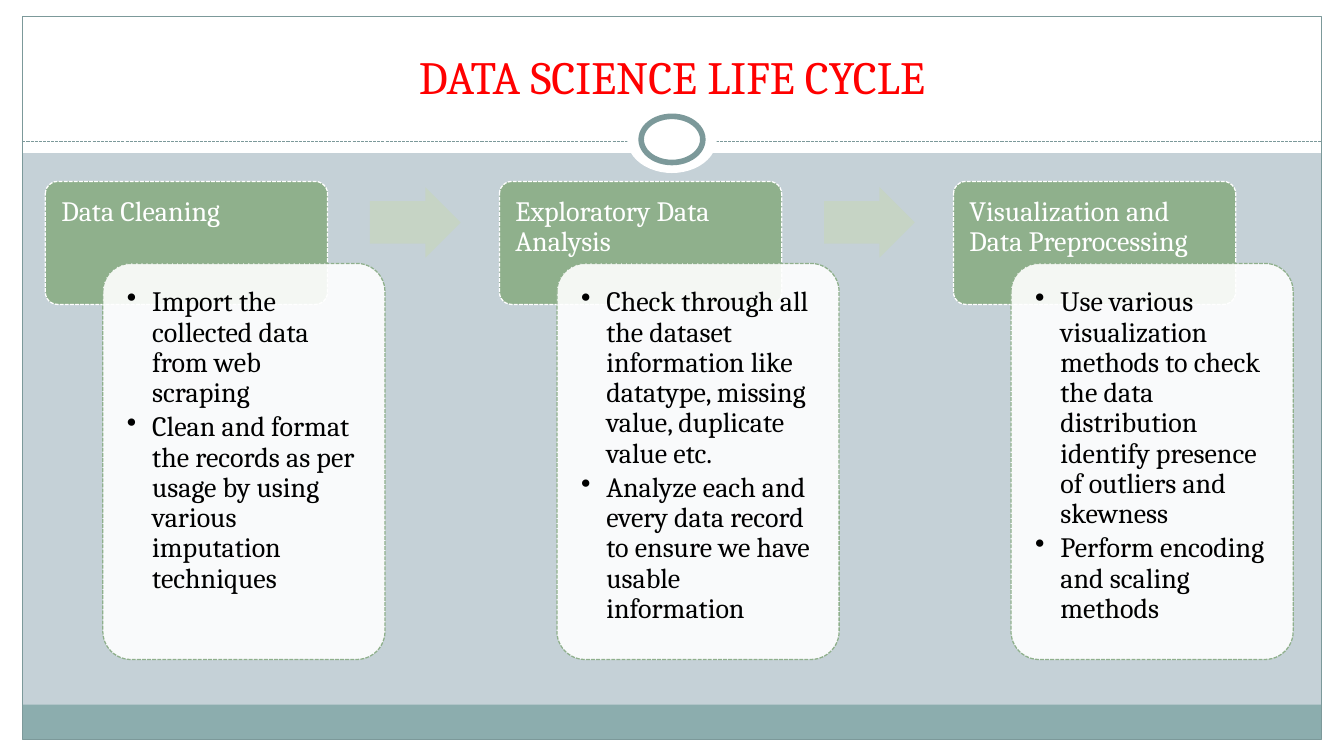
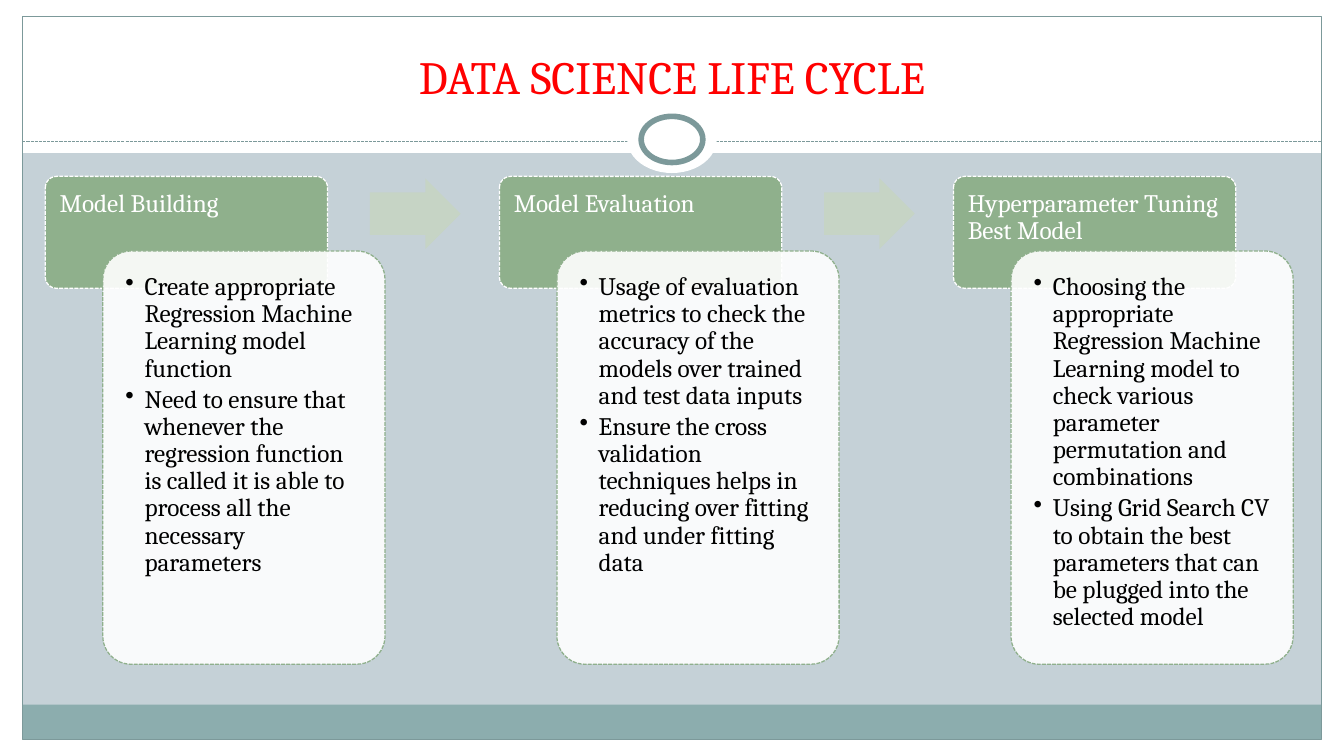
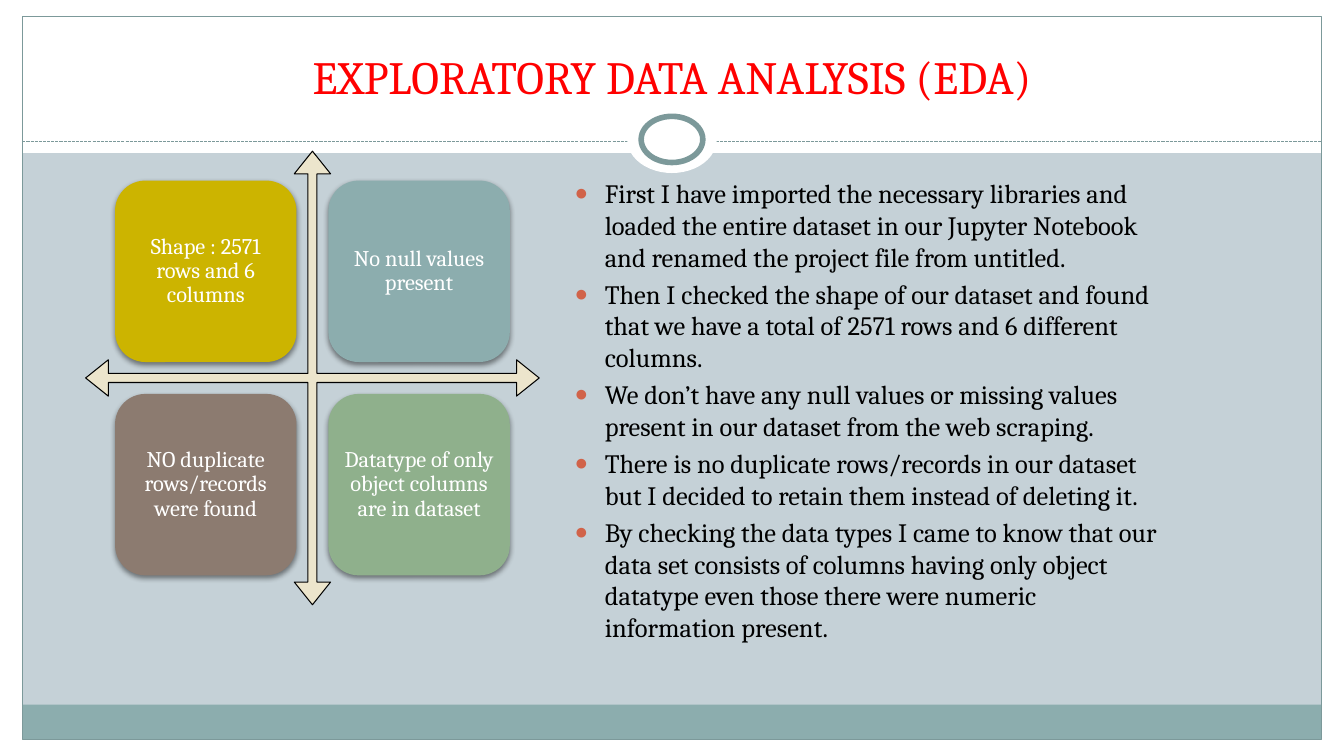
import dataclasses

import lxml.etree
import pptx
import pptx.dml.color
import pptx.enum.dml
import pptx.enum.shapes
import pptx.enum.text
import pptx.oxml.ns
import pptx.util

SHAPE = pptx.enum.shapes.MSO_SHAPE
ALIGN = pptx.enum.text.PP_ALIGN
ANCHOR = pptx.enum.text.MSO_ANCHOR
COLUMNS, ROWS = 80, 45
CELL = pptx.util.Inches(1) / 6
CORNER_INSET = 0.29  # share of a corner radius that a rounded box takes from its text area


@dataclasses.dataclass(frozen=True)
class Theme:
    font: str = "Cambria"
    background: str = "C5D1D7"
    white: str = "FFFFFF"
    black: str = "000000"
    title: str = "FF0000"
    frame: str = "7C999A"
    teal: str = "8CADAE"
    green: str = "8FB08C"
    pale_green: str = "C6D4C5"
    mustard: str = "CCB400"
    brown: str = "8C7B70"
    cream: str = "ECE5CC"
    bullet: str = "D16349"
    title_size: float = 33
    body_size: float = 18.9
    tile_size: float = 16


THEME = Theme()


def rgb(colour):
    return pptx.dml.color.RGBColor.from_string(colour)


def add_xml(parent, tag, **attributes):
    child = lxml.etree.SubElement(parent, pptx.oxml.ns.qn(tag))
    for name, value in attributes.items():
        child.set(name, str(value))
    return child


class Deck:
    """Holds the theme and the current slide; lengths are in grid cells."""

    def __init__(self, theme):
        self.theme = theme
        self.file = pptx.Presentation()
        self.file.slide_width = round(COLUMNS * CELL)
        self.file.slide_height = round(ROWS * CELL)
        self.slide = None

    def grid(self, *cells):
        return [pptx.util.Emu(round(cell * CELL)) for cell in cells]

    def new_slide(self, title, layout="Title Only"):
        self.slide = self.file.slides.add_slide(self.file.slide_layouts.get_by_name(layout))
        if len(self.file.slides) == 1:
            self.frame_master()
        heading = self.slide.shapes.title
        self.place(heading, 2.67, 1.5, 74.67, 5)
        self.set_text(heading, [title], self.theme.title_size, self.theme.title,
                      align=ALIGN.CENTER, anchor=ANCHOR.BOTTOM)

    def place(self, placeholder, *cells):
        placeholder.left, placeholder.top, placeholder.width, placeholder.height = self.grid(*cells)

    def frame_master(self):
        """Draws the shared frame on the first slide and moves it to the master."""
        theme, master = self.theme, self.file.slide_master
        master.background.fill.solid()
        master.background.fill.fore_color.rgb = rgb(theme.background)
        side, bottom = 1.33, 44
        inner = COLUMNS - 2 * side
        parts = [self.shape(SHAPE.RECTANGLE, *margin, fill=theme.white) for margin in (
            (0, bottom, COLUMNS, 1), (0, 0, COLUMNS, 9.1),
            (0, 0, side, ROWS), (COLUMNS - side, 0, side, ROWS))]
        parts.append(self.shape(SHAPE.RECTANGLE, side, 41.95, inner, 2.05, fill=theme.teal))
        parts.append(self.shape(SHAPE.RECTANGLE, side, 1, inner, 43, line=theme.frame))
        parts.append(self.dashed_rule(side, COLUMNS - side, 8.4))
        for width, height, ring in ((5.33, 4, None), (3.67, 2.75, theme.frame)):
            parts.append(self.shape(SHAPE.OVAL, (COLUMNS - width) / 2, 8.3 - height / 2,
                                    width, height, fill=theme.white, line=ring, weight=4))
        for number, part in enumerate(parts, start=100):
            part.element.xpath(".//p:cNvPr")[0].set("id", str(number))
            master.shapes.element.insert_element_before(part.element, "p:extLst")

    def dashed_rule(self, start, end, row):
        rule = self.slide.shapes.add_connector(
            pptx.enum.shapes.MSO_CONNECTOR.STRAIGHT, *self.grid(start, row, end, row))
        self.outline(rule.line, self.theme.frame, 0.75, dashed=True)
        add_xml(rule.element.spPr, "a:effectLst")
        return rule

    def outline(self, line, colour, weight, dashed=False):
        line.color.rgb = rgb(colour)
        line.width = pptx.util.Pt(weight)
        if dashed:
            line.dash_style = pptx.enum.dml.MSO_LINE.SQUARE_DOT

    def shape(self, kind, *cells, fill=None, line=None, weight=0.75, dashed=False, adjust=()):
        drawn = self.slide.shapes.add_shape(kind, *self.grid(*cells))
        drawn.shadow.inherit = False
        for index, value in enumerate(adjust):
            drawn.adjustments[index] = value
        if fill:
            drawn.fill.solid()
            drawn.fill.fore_color.rgb = rgb(fill)
        else:
            drawn.fill.background()
        if line:
            self.outline(drawn.line, line, weight, dashed)
        else:
            drawn.line.fill.background()
        return drawn

    def set_text(self, holder, texts, size, colour, align=ALIGN.LEFT, anchor=ANCHOR.TOP,
                 insets=None, line_spacing=None, before=0, after=0, bullet=None):
        """Fills a holder; insets are points (left, top, right, bottom), before and after shares of size."""
        frame = holder.text_frame
        frame.word_wrap = True
        frame.auto_size = pptx.enum.text.MSO_AUTO_SIZE.NONE
        frame.vertical_anchor = anchor
        if insets:
            (frame.margin_left, frame.margin_top,
             frame.margin_right, frame.margin_bottom) = map(pptx.util.Pt, insets)
        for index, text in enumerate(texts):
            paragraph = frame.add_paragraph() if index else frame.paragraphs[0]
            paragraph.alignment = align
            paragraph.line_spacing = line_spacing
            paragraph.space_before = pptx.util.Pt(size * before)
            paragraph.space_after = pptx.util.Pt(size * after)
            if bullet:
                self.bullet(paragraph, **bullet)
            run = paragraph.add_run()
            run.text = text
            run.font.name = self.theme.font
            run.font.size = pptx.util.Pt(size)
            run.font.color.rgb = rgb(colour)

    def bullet(self, paragraph, indent, mark="•", colour=None, percent=100):
        properties = paragraph._p.get_or_add_pPr()
        hang = pptx.util.Inches(indent)
        properties.set("marL", str(hang))
        properties.set("indent", str(-hang))
        if colour:
            add_xml(add_xml(properties, "a:buClr"), "a:srgbClr", val=colour)
        add_xml(properties, "a:buSzPct", val=percent * 1000)
        add_xml(properties, "a:buChar", char=mark)

    def stage(self, left, top, name, details, size, header_height, detail_height, indent):
        """A green header with a translucent detail card overlapping its last third."""
        theme, width, rounding = self.theme, 16.8, 0.1
        inset = 0.57 * size
        corner = CORNER_INSET * rounding * header_height * CELL / pptx.util.Pt(1)
        header = self.shape(SHAPE.ROUNDED_RECTANGLE, left, top, width, header_height,
                            fill=theme.green, line=theme.white, weight=0.9, dashed=True,
                            adjust=[rounding])
        self.set_text(header, [name], size, theme.white, line_spacing=0.9,
                      insets=(inset - corner, inset - corner, inset - corner, inset / 2))
        card = self.shape(SHAPE.ROUNDED_RECTANGLE, left + 3.42, top + header_height * 2 / 3,
                          width, detail_height, fill=theme.white, line=theme.green,
                          weight=0.9, dashed=True, adjust=[rounding])
        add_xml(card.element.spPr.xpath("a:solidFill/a:srgbClr")[0], "a:alpha", val=90000)
        self.set_text(card, details, size, theme.black, insets=[inset] * 4,
                      line_spacing=0.9, after=0.15, bullet={"indent": indent})

    def life_cycle(self, stages, top, size, header_height, detail_height, indent):
        pitch, arrow_height = 27.03, 4.2
        for index, (name, details) in enumerate(stages):
            left = 2.7 + index * pitch
            if index:
                self.shape(SHAPE.RIGHT_ARROW, left - pitch + 19.32,
                           top + header_height / 3 - arrow_height / 2, 5.4, arrow_height,
                           fill=self.theme.pale_green, adjust=[0.6, 0.5])
            self.stage(left, top, name, details, size, header_height, detail_height, indent)

    def findings_matrix(self, left, top, findings):
        """Four tiles around a four-way arrow."""
        theme, span, margin, side = self.theme, 27, 1.75, 10.8
        pitch = span - 2 * margin - side
        self.shape(SHAPE.QUAD_ARROW, left, top, span, span, fill=theme.cream,
                   line=theme.black, adjust=[0.02, 0.04, 0.05])
        for index, (finding, colour) in enumerate(findings):
            row, column = divmod(index, 2)
            tile = self.shape(SHAPE.ROUNDED_RECTANGLE, left + margin + column * pitch,
                              top + margin + row * pitch, side, side, fill=colour)
            self.soft_shadow(tile)
            self.set_text(tile, [finding], theme.tile_size, theme.white, align=ALIGN.CENTER,
                          anchor=ANCHOR.MIDDLE, insets=[5] * 4, line_spacing=0.9)

    def soft_shadow(self, tile):
        effects = tile.element.spPr.xpath("a:effectLst")[0]
        shadow = add_xml(effects, "a:outerShdw", blurRad=pptx.util.Pt(4),
                         dist=pptx.util.Pt(2), dir=90 * 60000, rotWithShape=0)
        add_xml(add_xml(shadow, "a:srgbClr", val=self.theme.black), "a:alpha", val=45000)

    def body_list(self, items, *cells):
        body = self.slide.placeholders[1]
        self.place(body, *cells)
        self.set_text(body, items, self.theme.body_size, self.theme.black, before=0.2,
                      bullet={"indent": 0.3, "mark": "●", "colour": self.theme.bullet,
                              "percent": 85})


PREPARATION = [
    ("Data Cleaning", [
        "Import the collected data from web scraping",
        "Clean and format the records as per usage by using various imputation techniques"]),
    ("Exploratory Data Analysis", [
        "Check through all the dataset information like datatype, missing value, duplicate value etc.",
        "Analyze each and every data record to ensure we have usable information"]),
    ("Visualization and Data Preprocessing", [
        "Use various visualization methods to check the data distribution identify presence of "
        "outliers and skewness",
        "Perform encoding and scaling methods"]),
]
MODELLING = [
    ("Model Building", [
        "Create appropriate Regression Machine Learning model function",
        "Need to ensure that whenever the regression function is called it is able to process "
        "all the necessary parameters"]),
    ("Model Evaluation", [
        "Usage of evaluation metrics to check the accuracy of the models over trained and test "
        "data inputs",
        "Ensure the cross validation techniques helps in reducing over fitting and under "
        "fitting data"]),
    ("Hyperparameter Tuning Best Model", [
        "Choosing the appropriate Regression Machine Learning model to check various parameter "
        "permutation and combinations",
        "Using Grid Search CV to obtain the best parameters that can be plugged into the "
        "selected model"]),
]
FINDINGS = [
    ("Shape : 2571 rows and 6 columns", THEME.mustard),
    ("No null values present", THEME.teal),
    ("NO duplicate rows/records were found", THEME.brown),
    ("Datatype of only object columns are in dataset", THEME.green),
]
EXPLORATION = [
    "First I have imported the necessary libraries and loaded the entire dataset in our "
    "Jupyter Notebook and renamed the project file from untitled.",
    "Then I checked the shape of our dataset and found that we have a total of 2571 rows and "
    "6 different columns.",
    "We don’t have any null values or missing values present in our dataset from the web "
    "scraping.",
    "There is no duplicate rows/records in our dataset but I decided to retain them instead "
    "of deleting it.",
    "By checking the data types I came to know that our data set consists of columns having "
    "only object datatype even those there were numeric information present.",
]


def main():
    deck = Deck(THEME)
    deck.new_slide("DATA SCIENCE LIFE CYCLE")
    deck.life_cycle(PREPARATION, top=10.8, size=20, header_height=7.32,
                    detail_height=23.58, indent=0.25)
    deck.new_slide("DATA SCIENCE LIFE CYCLE")
    deck.life_cycle(MODELLING, top=10.5, size=18, header_height=6.66,
                    detail_height=24.6, indent=0.19)
    deck.new_slide("EXPLORATORY DATA ANALYSIS (EDA)", layout="Title and Content")
    deck.body_list(EXPLORATION, 33.6, 10.25, 36.6, 27.25)
    deck.findings_matrix(5.1, 9, FINDINGS)
    deck.file.save("out.pptx")


if __name__ == "__main__":
    main()
